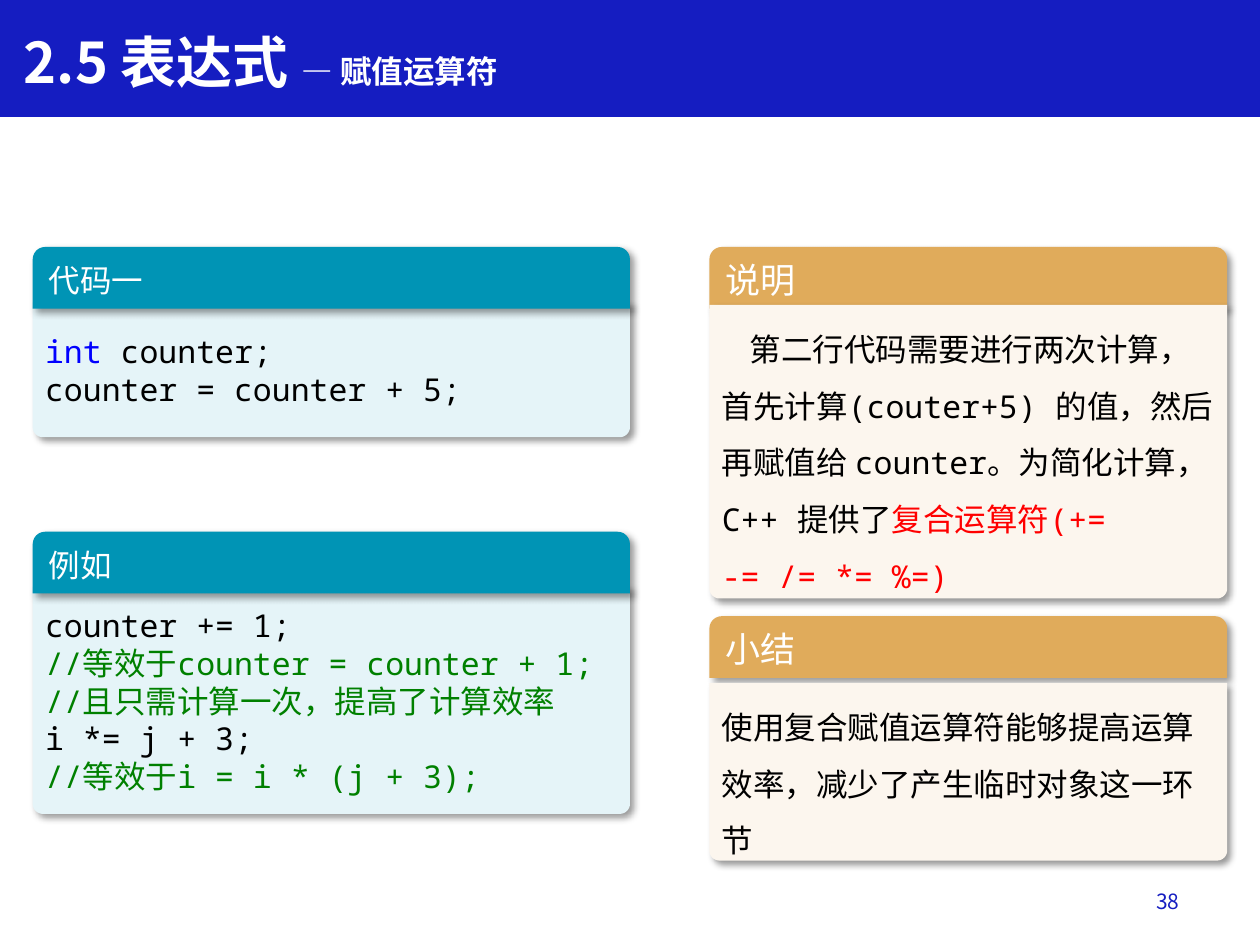
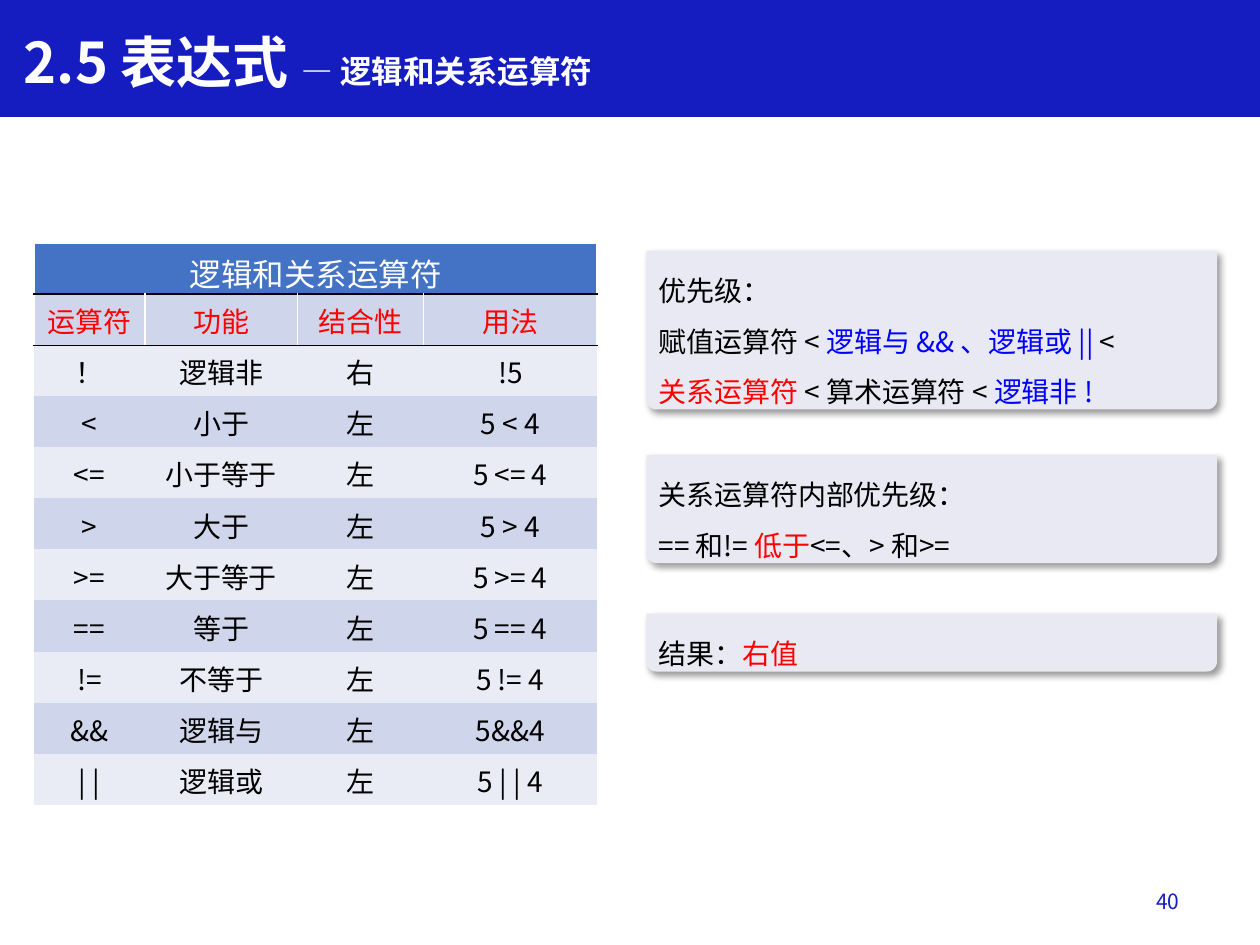
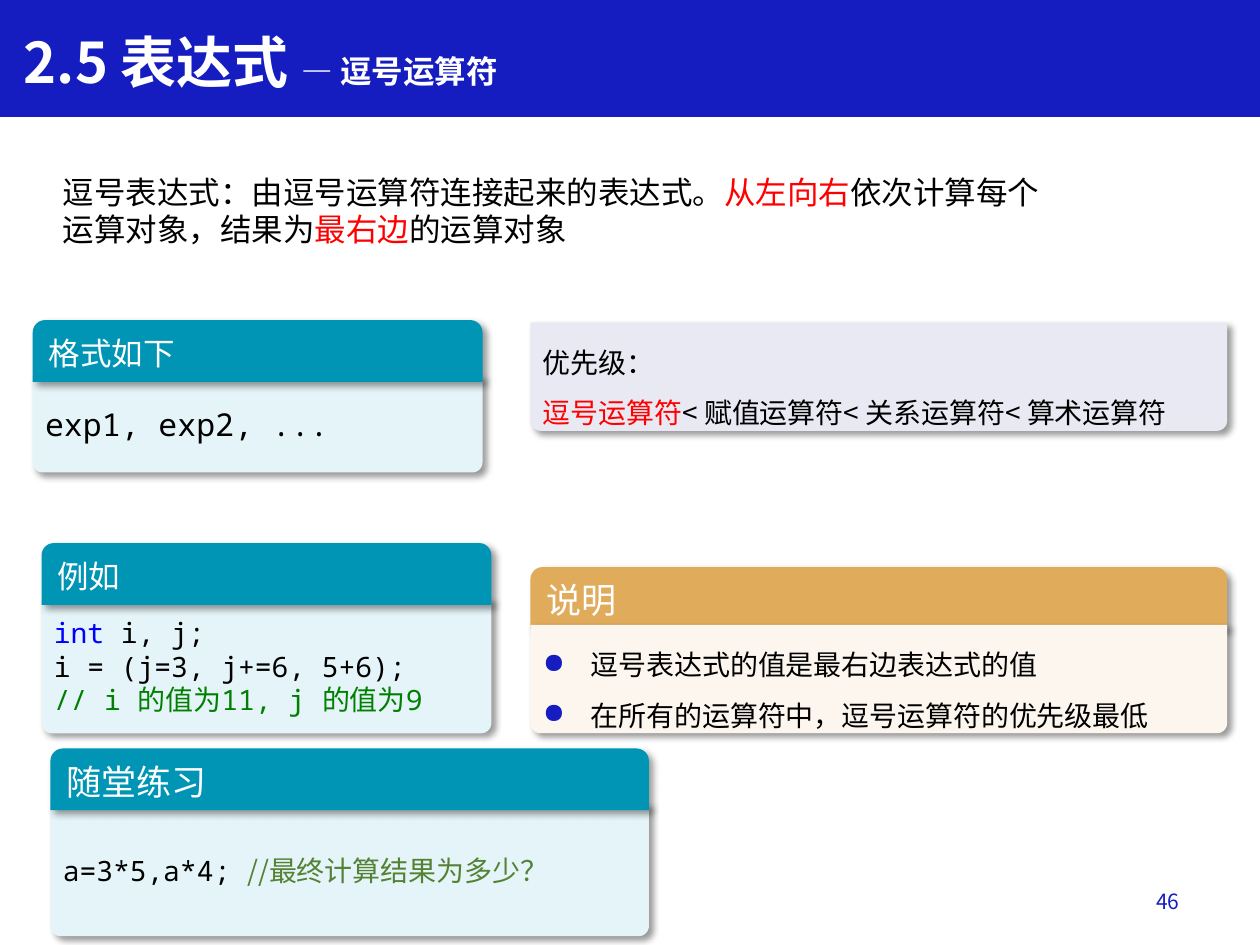
from math import cos, pi, sin

from lxml import etree
from pptx import Presentation
from pptx.dml.color import RGBColor
from pptx.enum import shapes, text
from pptx.oxml.ns import qn
from pptx.util import Inches, Pt

SANS, MONO = "Noto Sans CJK SC", "Noto Sans Mono"
NAVY, TEAL, AMBER = "151DC1", "0094B5", "E0AB5B"
ICE, CREAM, LILAC = "E5F4F8", "FCF6EE", "E9E9F3"
WHITE, BLACK, RED, BLUE, GREEN, OLIVE = (
    "FFFFFF", "000000", "FF0000", "0000FF", "008000", "548235")
HEAD, BAND_DARK, BAND_LIGHT = "4472C4", "CFD5EA", "E9EBF5"
NO_STYLE = "{2D5ABB26-0587-4C30-8999-92F81FD0307C}"
TOP, MIDDLE = text.MSO_ANCHOR.TOP, text.MSO_ANCHOR.MIDDLE
LEFT, CENTER, RIGHT = text.PP_ALIGN.LEFT, text.PP_ALIGN.CENTER, text.PP_ALIGN.RIGHT


def rgb(color):
    """Turn a hex string into a colour."""
    return RGBColor.from_string(color)


def node(parent, tag, **attrs):
    """Append a drawing element to a parent."""
    return etree.SubElement(parent, qn(tag), attrs)


class Deck:
    """Holds the style and the current slide."""

    def __init__(self):
        """Start an empty 4:3 presentation."""
        self.prs = Presentation()
        self.prs.slide_width, self.prs.slide_height = Inches(10), Inches(7.5)
        self.slide = None

    def page(self, topic, number):
        """Add a slide with its title band and page number."""
        self.slide = self.prs.slides.add_slide(self.prs.slide_layouts[6])
        band = self.slide.shapes.add_shape(
            shapes.MSO_SHAPE.RECTANGLE, 0, 0, Inches(10), Inches(0.92))
        self.paint(band, NAVY, shadow=False)
        band.line.color.rgb = rgb(NAVY)
        band.line.width = Pt(1)
        title = [[("2.5 表达式 ", WHITE, SANS, 32), ("— " + topic, WHITE)]]
        self.label(0.09, 0.17, 6.71, 0.64, title, bold=True)
        self.label(7.21, 6.95, 2.25, 0.4, [str(number)], size=12, color=NAVY,
                   align=RIGHT, anchor=MIDDLE)

    def paint(self, sp, color, shadow=True):
        """Fill a shape and give it the soft shadow or none."""
        sp.fill.solid()
        sp.fill.fore_color.rgb = rgb(color)
        sp.line.fill.background()
        sp.shadow.inherit = False
        if shadow:
            effects = sp._element.spPr.find(qn("a:effectLst"))
            outer = node(effects, "a:outerShdw", blurRad=str(Pt(4)), dist=str(Pt(3)),
                         dir="2700000", algn="tl", rotWithShape="0")
            node(node(outer, "a:srgbClr", val=BLACK), "a:alpha", val="40000")

    def set_lines(self, tf, lines, size=18, font=SANS, color=BLACK, bold=False,
                  align=LEFT, spacing=None, bullet=False, indent=0):
        """Set paragraphs of strings or of (text, colour, font, size) runs."""
        for i, line in enumerate(lines):
            p = tf.add_paragraph() if i else tf.paragraphs[0]
            p.alignment = align
            pPr = p._p.get_or_add_pPr()
            if spacing:
                p.line_spacing = spacing
            if indent:
                pPr.set("indent", str(Inches(indent)))
            if bullet:
                pPr.set("marL", str(Inches(0.38)))
                pPr.set("indent", str(Inches(-0.38)))
                node(node(pPr, "a:buClr"), "a:srgbClr", val=NAVY)
                node(pPr, "a:buChar", char="●")
            for run in [(line,)] if isinstance(line, str) else line:
                if run == "\n":
                    p.add_line_break()
                    continue
                words, tint, face, points = run + (color, font, size)[len(run) - 1:]
                r = p.add_run()
                r.text = words
                r.font.name, r.font.size, r.font.bold = face, Pt(points), bold
                r.font.color.rgb = rgb(tint)
                node(r._r.get_or_add_rPr(), "a:ea", typeface=SANS)

    def label(self, x, y, w, h, lines, anchor=TOP, **style):
        """Add a text box."""
        box = self.slide.shapes.add_textbox(Inches(x), Inches(y), Inches(w), Inches(h))
        box.text_frame.word_wrap = True
        box.text_frame.vertical_anchor = anchor
        self.set_lines(box.text_frame, lines, **style)

    def card(self, x, y, w, bottom, lines, fill=LILAC, anchor=TOP, **style):
        """Add a text card with rounded lower corners."""
        r, steps = 0.08, [k * pi / 16 for k in range(9)]
        points = [(x + w, y)]
        points += [(x + w - r + r * cos(a), bottom - r + r * sin(a)) for a in steps]
        points += [(x + r - r * sin(a), bottom - r + r * cos(a)) for a in steps]
        outline = self.slide.shapes.build_freeform(Inches(x), Inches(y))
        outline.add_line_segments([(Inches(a), Inches(b)) for a, b in points])
        sp = outline.convert_to_shape()
        self.paint(sp, fill)
        sp.text_frame.word_wrap = True
        sp.text_frame.vertical_anchor = anchor
        self.set_lines(sp.text_frame, lines, **style)

    def header(self, x, y, w, caption, fill, size):
        """Add a caption bar with rounded upper corners."""
        sp = self.slide.shapes.add_shape(
            shapes.MSO_SHAPE.ROUND_2_SAME_RECTANGLE,
            Inches(x), Inches(y), Inches(w), Inches(0.49))
        sp.adjustments[0], sp.adjustments[1] = 0.2, 0
        self.paint(sp, fill)
        sp.text_frame.vertical_anchor = MIDDLE
        self.set_lines(sp.text_frame, [caption], size=size, color=WHITE)

    def code(self, x, y, w, bottom, caption, lines, head_size=18, size=18):
        """Add a teal code panel."""
        self.card(x, y + 0.44, w, bottom, lines, ICE, MIDDLE, font=MONO, size=size)
        self.header(x, y, w, caption, TEAL, head_size)

    def remark(self, x, y, w, bottom, caption, lines, gap=0.46, **style):
        """Add an amber remark panel."""
        self.header(x, y, w, caption, AMBER, 20)
        self.card(x, y + gap, w, bottom, lines, CREAM, spacing=1.5, **style)

    def cell(self, cell, words, fill, size, color, borders):
        """Format one table cell."""
        tcPr = cell._tc.get_or_add_tcPr()
        for side, tint in borders.items():
            ln = node(tcPr, "a:ln" + side, w=str(Pt(1)))
            node(node(ln, "a:solidFill"), "a:srgbClr", val=tint)
        cell.fill.solid()
        cell.fill.fore_color.rgb = rgb(fill)
        if words:
            self.set_lines(cell.text_frame, [words], size=size, color=color,
                           align=CENTER)

    def table(self, x, y, h, widths, caption, heads, rows):
        """Add a banded table under a merged caption row."""
        grid = [[caption] + [""] * (len(heads) - 1), heads] + rows
        frame = self.slide.shapes.add_table(
            len(grid), len(heads), Inches(x), Inches(y), Inches(sum(widths)), Inches(h))
        table = frame.table
        frame._element.find(".//" + qn("a:tableStyleId")).text = NO_STYLE
        for column, width in zip(table.columns, widths):
            column.width = Inches(width)
        table.cell(0, 0).merge(table.cell(0, len(heads) - 1))
        looks = [(HEAD, 18, WHITE, {"L": WHITE, "R": WHITE, "T": WHITE, "B": BLACK}),
                 (BAND_DARK, 16, RED, {"L": WHITE, "R": WHITE, "T": BLACK})]
        for i, row in enumerate(grid):
            band = BAND_DARK if i % 2 else BAND_LIGHT
            look = looks[i] if i < len(looks) else (band, 16, BLACK, {})
            for j, words in enumerate(row):
                self.cell(table.cell(i, j), words, *look)


def assignment(deck):
    """Build the slide on assignment operators."""
    deck.page("赋值运算符", 38)
    deck.code(0.26, 1.96, 4.74, 3.47, "代码一", [
        [("int ", BLUE), ("counter;",)], "counter = counter + 5;"])
    deck.code(0.26, 4.22, 4.74, 6.46, "例如", [
        "counter += 1;",
        [("//等效于counter = counter + 1;", GREEN)],
        [("//且只需计算一次，提高了计算效率", GREEN)],
        "i *= j + 3;",
        [("//等效于i = i * (j + 3);", GREEN)]])
    deck.remark(5.63, 4.89, 4.11, 6.83, "小结", [
        "使用复合赋值运算符能够提高运算效率，减少了产生临时对象这一环节"],
        gap=0.53, font=MONO)
    deck.remark(5.63, 1.96, 4.11, 4.75, "说明", [
        [("第二行代码需要进行两次计算，首先计算(couter+5) 的值，"
          "然后再赋值给 counter。为简化计算，C++ 提供了",),
         ("复合运算符(+= -= /= *= %=)", RED)]], font=MONO, indent=0.22)


def logic(deck):
    """Build the slide on logical and relational operators."""
    deck.page("逻辑和关系运算符", 40)
    deck.table(0.27, 1.93, 4.46, [0.88, 1.21, 1, 1.38], "逻辑和关系运算符",
               ["运算符", "功能", "结合性", "用法"], [
                   ["！", "逻辑非", "右", "!5"],
                   ["<", "小于", "左", "5 < 4"],
                   ["<=", "小于等于", "左", "5 <= 4"],
                   [">", "大于", "左", "5 > 4"],
                   [">=", "大于等于", "左", "5 >= 4"],
                   ["==", "等于", "左", "5 == 4"],
                   ["!=", "不等于", "左", "5 != 4"],
                   ["&&", "逻辑与", "左", "5&&4"],
                   ["| |", "逻辑或", "左", "5 | | 4"]])
    notes = [
        (1.99, 3.25, ["优先级：", [
            ("赋值运算符 < ",), ("逻辑与 && 、逻辑或 || ", BLUE), ("<",), "\n",
            ("关系运算符 ", RED), ("< 算术运算符 < ",), ("逻辑非 !", BLUE)]]),
        (3.61, 4.47, ["关系运算符内部优先级：", [
            ("== 和!= ",), ("低于", RED), ("<=、> 和>=",)]]),
        (4.87, 5.33, [[("结果：",), ("右值", RED)]])]
    for top, bottom, lines in notes:
        deck.card(5.13, top, 4.53, bottom, lines, size=16, spacing=1.5)


def comma(deck):
    """Build the slide on the comma operator."""
    deck.page("逗号运算符", 46)
    deck.card(4.21, 2.56, 5.53, 3.42, ["优先级：", [
        ("逗号运算符", RED), ("< 赋值运算符< 关系运算符< 算术运算符",)]],
        size=16, spacing=1.5)
    deck.code(0.26, 2.54, 3.57, 3.75, "格式如下", ["exp1, exp2, ..."])
    deck.code(0.33, 4.31, 3.57, 5.82, "例如", [
        [("int ", BLUE), ("i, j;",)],
        "i = (j=3, j+=6, 5+6);",
        [("// i 的值为11, j 的值为9", GREEN)]], size=16)
    deck.label(0.4, 1.32, 8.19, 0.71, [[
        ("逗号表达式：由逗号运算符连接起来的表达式。",), ("从左向右", RED),
        ("依次计算每个运算对象，结果为",), ("最右边", RED), ("的运算对象",)]])
    deck.remark(4.21, 4.5, 5.53, 5.82, "说明", [
        "逗号表达式的值是最右边表达式的值",
        "在所有的运算符中，逗号运算符的优先级最低"], size=16, bullet=True)
    deck.code(0.4, 5.94, 4.75, 7.43, "随堂练习", [
        [("a=3*5,a*4; ",), ("//最终计算结果为多少？", OLIVE, SANS)]],
        head_size=20, size=16)


def main():
    """Build and save the deck."""
    deck = Deck()
    for build in (assignment, logic, comma):
        build(deck)
    deck.prs.save("out.pptx")


if __name__ == "__main__":
    main()
